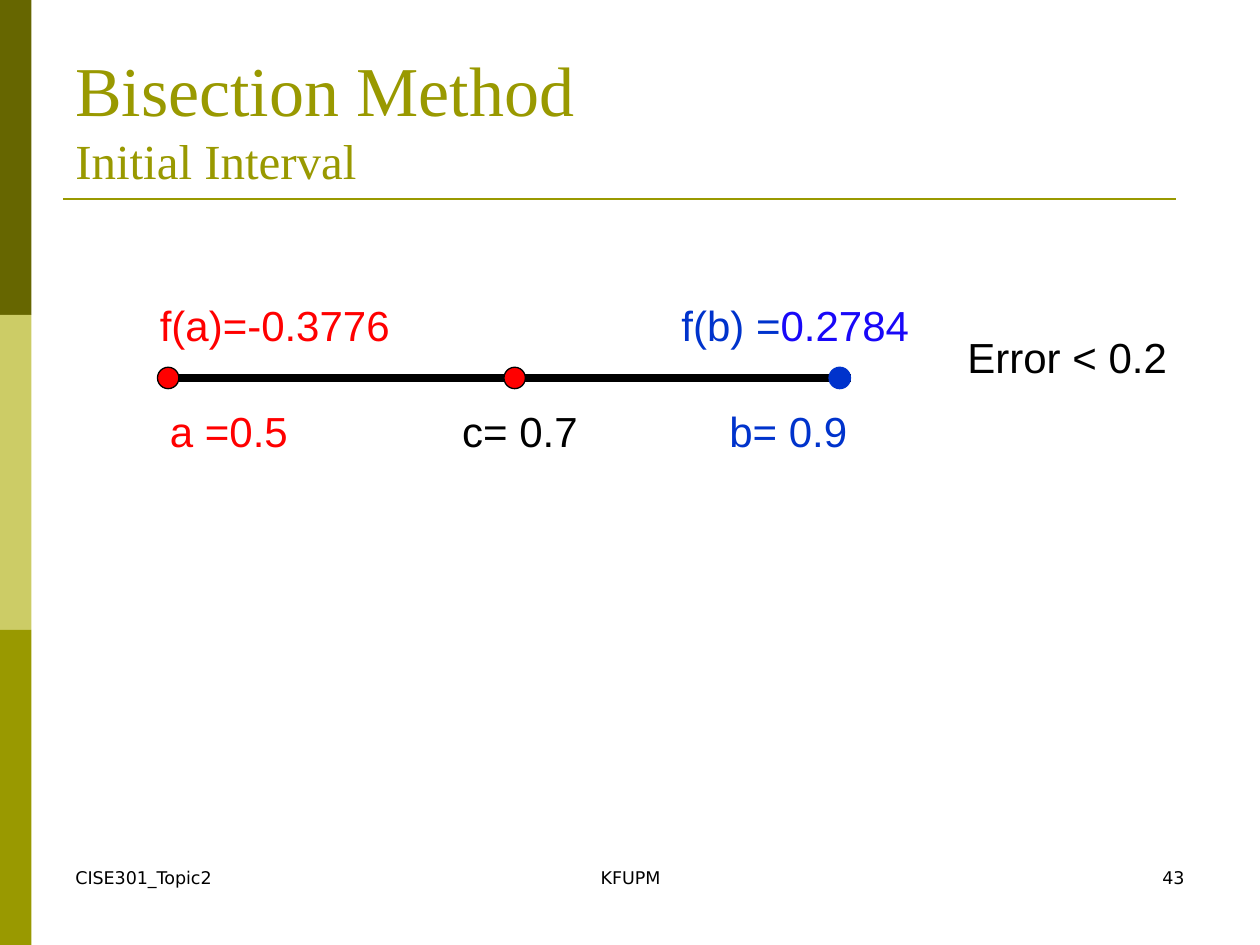
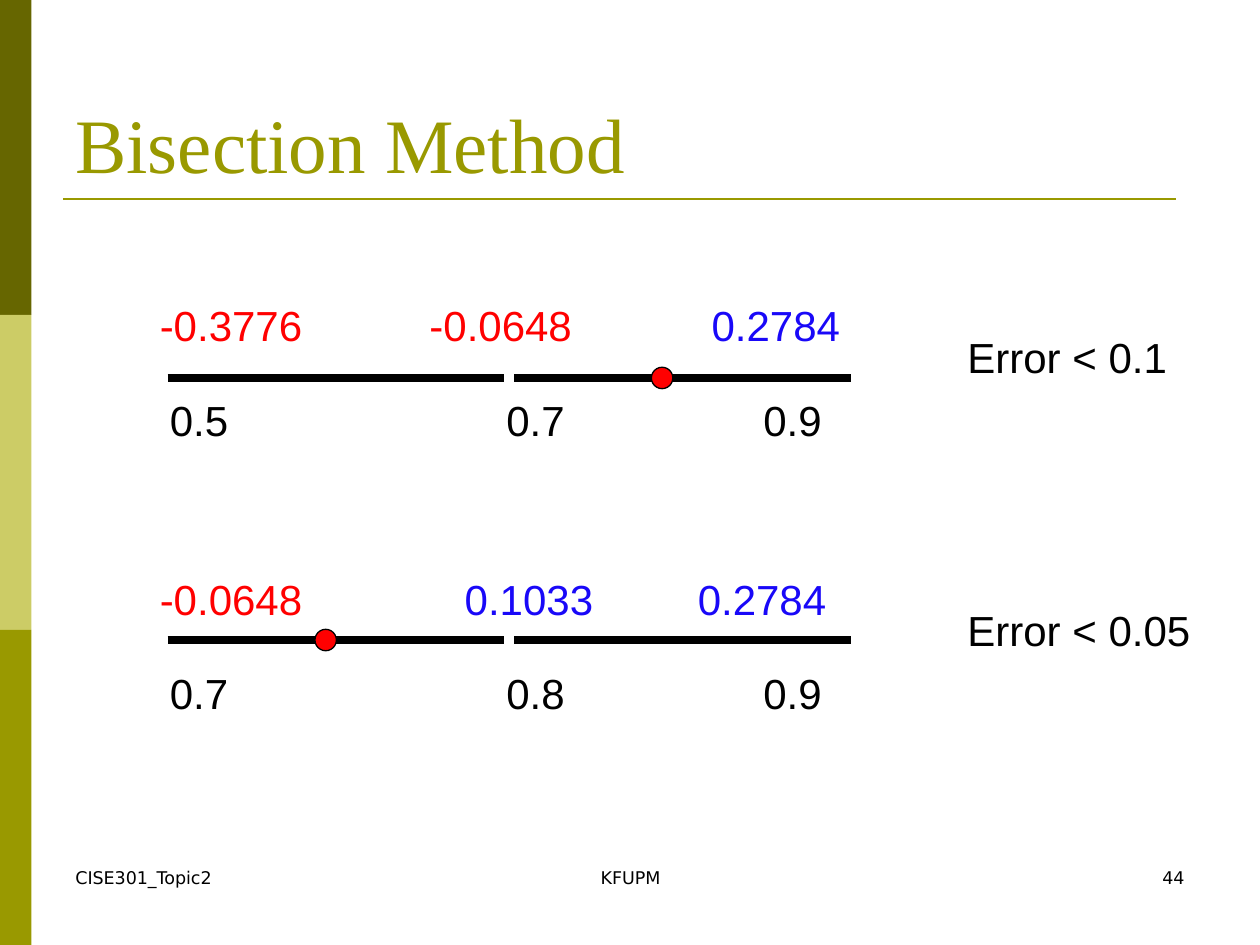
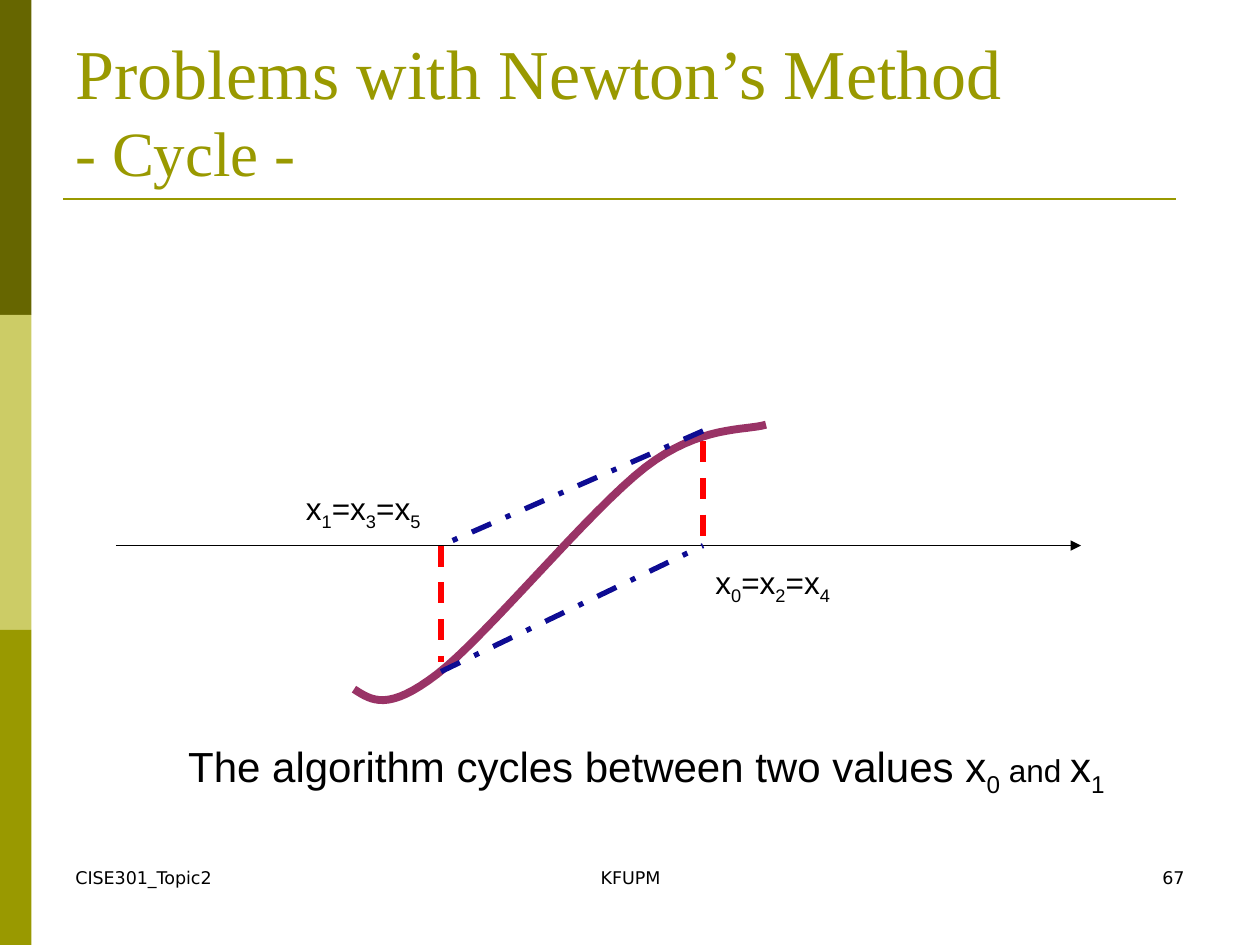
from pptx import Presentation
from pptx.dml.color import RGBColor
from pptx.enum.dml import MSO_LINE
from pptx.enum.shapes import MSO_CONNECTOR, MSO_SHAPE
from pptx.enum.text import MSO_ANCHOR, PP_ALIGN
from pptx.oxml.ns import qn
from pptx.util import Inches, Pt
from lxml.etree import SubElement

HUES = {
    "dark": "666600", "pale": "CCCC66", "olive": "999900",
    "black": "000000", "red": "FF0000", "blue": "0033CC",
    "violet": "1908F8", "navy": "0E0C93", "plum": "993366",
}
TITLE = {"name": "Times New Roman", "size": Pt(44)}
BODY = {"name": "Arial", "size": Pt(24)}
LABEL = {"name": "Arial", "size": Pt(18)}
FOOT = {"name": "DejaVu Sans", "size": Pt(10)}
DOT = 0.17


def hue(name):
    return RGBColor.from_string(HUES[name])


def write(slide, box, runs, style, align=PP_ALIGN.LEFT, anchor=MSO_ANCHOR.TOP, tabs=()):
    frame = slide.shapes.add_textbox(*map(Inches, box)).text_frame
    frame.word_wrap = True
    frame.vertical_anchor = anchor
    para = frame.paragraphs[0]
    para.alignment = align
    if tabs:
        stops = SubElement(para._p.get_or_add_pPr(), qn("a:tabLst"))
        for tab in tabs:
            SubElement(stops, qn("a:tab"), pos=str(Inches(tab)), algn="l")
    for text, color, *extra in runs:
        if text == "\n":
            para.add_line_break()
            continue
        run = para.add_run()
        run.text = text
        more = dict(extra[0]) if extra else {}
        base = more.pop("base", None)
        for key, value in {**style, **more}.items():
            setattr(run.font, key, value)
        run.font.color.rgb = hue(color)
        if base:
            run._r.get_or_add_rPr().set("baseline", str(base))


def subs(text, size):
    parts = text.split("_")
    runs = [(parts[0], "black", {"size": size})]
    for part in parts[1:]:
        runs.append((part[0], "black", {"size": size, "base": -25000}))
        if part[1:]:
            runs.append((part[1:], "black", {"size": size}))
    return runs


def shape(slide, kind, box, fill, edge=None):
    item = slide.shapes.add_shape(kind, *map(Inches, box))
    item.shadow.inherit = False
    item.fill.solid()
    item.fill.fore_color.rgb = hue(fill)
    if edge:
        item.line.color.rgb = hue(edge)
        item.line.width = Pt(0.75)
    else:
        item.line.fill.background()


def rule(slide, start, end, color, width, dash=None, arrow=False):
    item = slide.shapes.add_connector(MSO_CONNECTOR.STRAIGHT, *map(Inches, (*start, *end)))
    item.line.color.rgb = hue(color)
    item.line.width = Pt(width)
    if dash:
        item.line.dash_style = dash
    props = item._element.spPr
    if arrow:
        SubElement(props.find(qn("a:ln")), qn("a:tailEnd"), type="triangle")
    SubElement(props, qn("a:effectLst"))


def base(deck, number, title):
    slide = deck.slides.add_slide(deck.slide_layouts[6])
    for step, color in enumerate(("dark", "pale", "olive")):
        shape(slide, MSO_SHAPE.RECTANGLE, (0, 2.5 * step, 0.25, 2.5), color)
    rule(slide, (0.5, 1.58), (9.33, 1.58), "olive", 1.5)
    for left, width, text, align in (
        (0.5, 2.33, "CISE301_Topic2", PP_ALIGN.LEFT),
        (3.42, 3.17, "KFUPM", PP_ALIGN.CENTER),
        (7.17, 2.33, str(number), PP_ALIGN.RIGHT),
    ):
        write(slide, (left, 6.83, width, 0.5), [(text, "black")], FOOT, align)
    runs = []
    for text, size in title:
        if runs:
            runs.append(("\n", "olive"))
        runs.append((text, "olive", {"size": Pt(size)}))
    write(slide, (0.5, 0.3, 9, 1.25), runs, TITLE, anchor=MSO_ANCHOR.BOTTOM)
    return slide


def span(slide, left, top, above, below, error, dots, axis=0.67, low=0.75):
    for runs, tabs, dx, dy, width in ((*above, 0, 0, 7.17), (*below, 0.08, low, 6.08)):
        write(slide, (left + dx, top + dy, width, 0.5), runs, BODY, tabs=tabs)
    for dx in (2.91, 0.16):
        y = top + axis
        rule(slide, (left + dx, y), (left + dx + 2.67, y), "black", 4.5)
    for dx, fill, edge in dots:
        shape(slide, MSO_SHAPE.OVAL, (left + dx, top + axis - DOT / 2, DOT, DOT), fill, edge)
    write(slide, (left + 6.41, top + 0.25, 2.17, 0.5), [(error, "black")], BODY)


def curve(slide, left, top, start, arcs, steps=16):
    points = []
    for one, two, end in arcs:
        for step in range(1, steps + 1):
            t = step / steps
            u = 1 - t
            points.append(tuple(
                Inches(shift + u**3 * a + 3 * u * u * t * b + 3 * u * t * t * c + t**3 * d)
                for shift, a, b, c, d in zip((left, top), start, one, two, end)
            ))
        start = end
    first = arcs_start(left, top)
    pen = slide.shapes.build_freeform(*first)
    pen.add_line_segments(points, close=False)
    item = pen.convert_to_shape()
    item.shadow.inherit = False
    item.fill.background()
    item.line.color.rgb = hue("plum")
    item.line.width = Pt(4.5)


def arcs_start(left, top):
    return Inches(left + BEGIN[0]), Inches(top + BEGIN[1])


BEGIN = (1.89, 2.1)
ARCS = (
    ((2.03, 2.19), (2.16, 2.28), (2.55, 1.98)),
    ((2.93, 1.69), (3.77, 0.67), (4.2, 0.34)),
    ((4.64, 0), (5, 0.05), (5.16, 0)),
)


def graph(slide, left, top):
    def at(x, y):
        return left + x, top + y

    near, far, axis = 2.58, 4.66, 0.96
    rule(slide, at(0, axis), at(7.66, axis), "black", 0.75, arrow=True)
    rule(slide, at(far, 0.13), at(far, axis), "red", 3, MSO_LINE.DASH)
    curve(slide, left, top, BEGIN, ARCS)
    rule(slide, at(far, 0.05), at(near, axis), "navy", 3, MSO_LINE.DASH_DOT)
    rule(slide, at(near, axis), at(near, 1.88), "red", 3, MSO_LINE.DASH)
    rule(slide, at(near, 1.96), at(far, axis), "navy", 3, MSO_LINE.DASH_DOT)
    for x, y, text in ((far, 1.05, "x_0=x_2=x_4"), (1.41, 0.46, "x_1=x_3=x_5")):
        write(slide, (*at(x, y), 1.33, 0.4), subs(text, Pt(18)), LABEL)


def main():
    deck = Presentation()
    deck.slide_width, deck.slide_height = Inches(10), Inches(7.5)

    slide = base(deck, 43, [("Bisection Method", 40), ("Initial Interval", 28)])
    span(
        slide, 1.17, 2.33,
        ([("f(a)=-0.3776\t", "red"), ("f(b) =", "blue"), ("0.2784", "violet")], [4.14]),
        ([("a =0.5\t", "red"), ("c= 0.7\t", "black"), ("b= 0.9", "blue")], [2.32, 4.44]),
        "Error < 0.2",
        [(5.41, "blue", "blue"), (2.83, "red", "black"), (0.08, "red", "black")],
        low=0.84,
    )

    slide = base(deck, 44, [("Bisection Method", 44)])
    span(
        slide, 1.17, 2.33,
        ([("-0.3776\t-0.0648\t", "red"), ("0.2784", "violet")], [2.14, 4.38]),
        ([("0.5\t0.7\t0.9", "black")], [2.67, 4.71]),
        "Error < 0.1", [(4, "red", "black")],
    )
    span(
        slide, 1.17, 4.5,
        ([("-0.0648\t", "red"), ("0.1033\t0.2784", "violet")], [2.42, 4.27]),
        ([("0.7\t0.8\t0.9", "black")], [2.67, 4.71]),
        "Error < 0.05", [(1.33, "red", "black")], axis=0.58,
    )

    slide = base(deck, 67, [("Problems with Newton’s Method", 40), ("- Cycle -", 36)])
    graph(slide, 0.92, 3.37)
    runs = subs("The algorithm cycles between two values x_0", Pt(24))
    runs += [(" and ", "black", {"size": Pt(18)})] + subs("x_1", Pt(24))
    write(slide, (0.92, 5.83, 8.42, 0.5), runs, BODY, PP_ALIGN.CENTER)

    deck.save("out.pptx")


if __name__ == "__main__":
    main()
